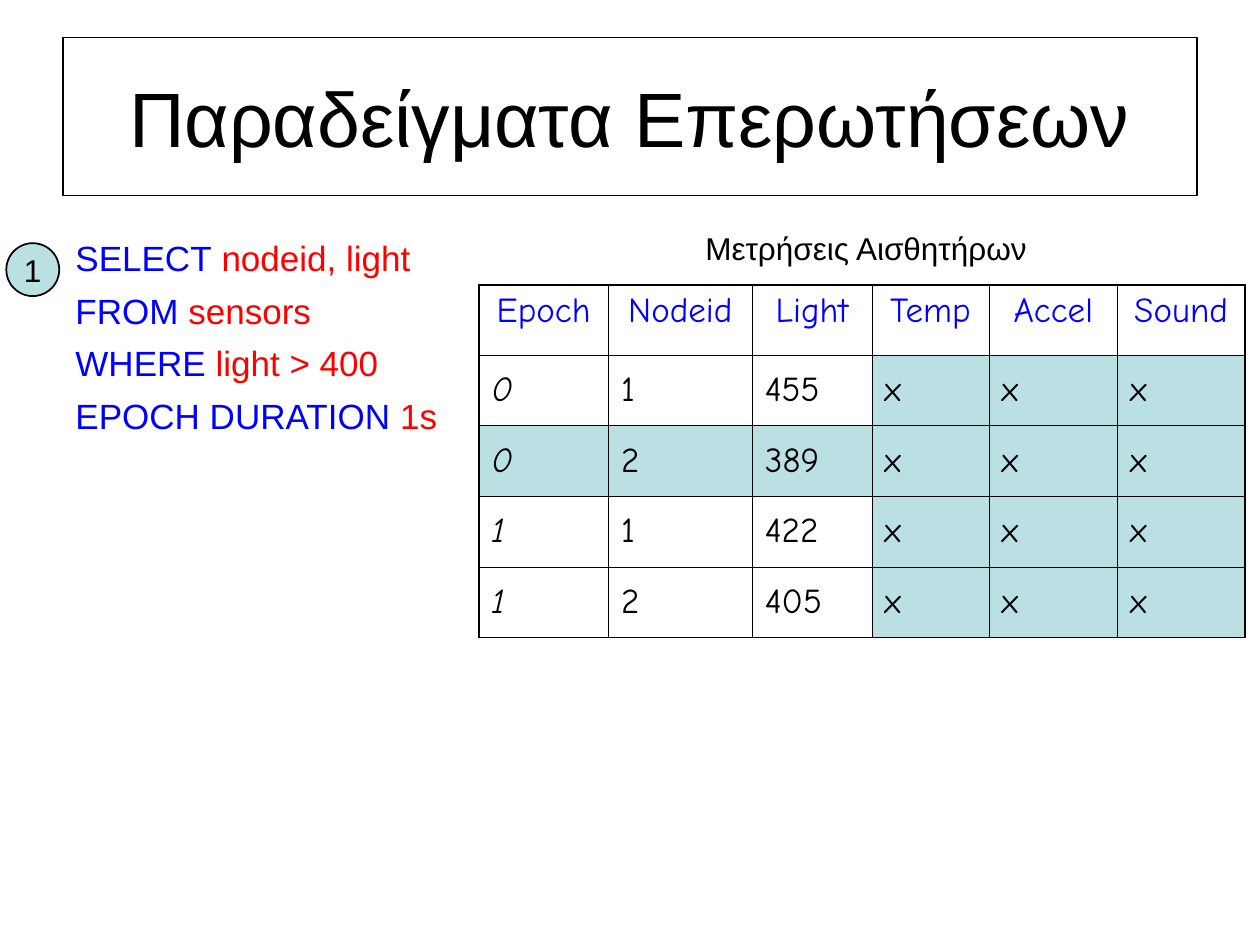
"""Build the sensor query example slide."""
from lxml.etree import SubElement
from pptx import Presentation
from pptx.dml.color import RGBColor
from pptx.enum.shapes import MSO_SHAPE
from pptx.enum.text import MSO_ANCHOR, PP_ALIGN
from pptx.oxml.ns import qn
from pptx.util import Inches, Pt

COLORS = {"black": "000000", "blue": "0000FF", "red": "FF0000", "teal": "BBE0E3"}


def color(name):
    return RGBColor.from_string(COLORS[name])


def format_run(run, size, color_name="black", font_name="Arial"):
    run.font.size = Pt(size)
    run.font.name = font_name
    run.font.color.rgb = color(color_name)


presentation = Presentation()
presentation.slide_width = Inches(10)
presentation.slide_height = Inches(7.5)
slide = presentation.slides.add_slide(presentation.slide_layouts[6])

title = slide.shapes.add_textbox(Inches(0.5), Inches(0.3), Inches(9), Inches(1.25))
title.line.color.rgb = color("black")
title.line.width = Pt(0.75)
title.text_frame.word_wrap = True
title.text_frame.vertical_anchor = MSO_ANCHOR.MIDDLE
title.text_frame.text = "Παραδείγματα Επερωτήσεων"
title.text_frame.paragraphs[0].alignment = PP_ALIGN.CENTER
format_run(title.text_frame.paragraphs[0].runs[0], 44)

query_lines = [
    ("SELECT", " nodeid, light"),
    ("FROM", " sensors"),
    ("WHERE", " light > 400"),
    ("EPOCH DURATION", " 1s"),
]
query = slide.shapes.add_textbox(Inches(0), Inches(1.83), Inches(4.75), Inches(4.5))
query.text_frame.word_wrap = True
for index, query_line in enumerate(query_lines):
    paragraph = query.text_frame.add_paragraph() if index else query.text_frame.paragraphs[0]
    paragraph.space_before = Pt(6)
    properties = paragraph._p.get_or_add_pPr()
    properties.set("marL", str(Inches(0.81)))
    properties.set("indent", str(Inches(-0.31)))
    for text, color_name in zip(query_line, ("blue", "red")):
        run = paragraph.add_run()
        run.text = text
        format_run(run, 20, color_name)

badge = slide.shapes.add_shape(
    MSO_SHAPE.OVAL, Inches(0.05), Inches(1.93), Inches(0.42), Inches(0.42)
)
badge.shadow.inherit = False
badge.fill.solid()
badge.fill.fore_color.rgb = color("teal")
badge.line.color.rgb = color("black")
badge.line.width = Pt(1)
badge.text_frame.word_wrap = False
badge.text_frame.vertical_anchor = MSO_ANCHOR.MIDDLE
badge.text_frame.text = "1"
badge.text_frame.paragraphs[0].alignment = PP_ALIGN.CENTER
format_run(badge.text_frame.paragraphs[0].runs[0], 18)

readings = [
    ("Epoch", "Nodeid", "Light", "Temp", "Accel", "Sound"),
    ("0", "1", "455", "x", "x", "x"),
    ("0", "2", "389", "x", "x", "x"),
    ("1", "1", "422", "x", "x", "x"),
    ("1", "2", "405", "x", "x", "x"),
]
column_widths = [1.03, 1.14, 0.95, 0.93, 1.02, 1.01]
last_row = len(readings) - 1
last_column = len(column_widths) - 1
rejected_row = 2
first_unused_column = 3
table = slide.shapes.add_table(
    len(readings), len(column_widths), Inches(3.8), Inches(2.26), Inches(6.08), Inches(2.79)
).table
table.first_row = False
table.horz_banding = False
for column, width in zip(table.columns, column_widths):
    column.width = Inches(width)

for row_index, values in enumerate(readings):
    is_header = row_index == 0
    table.rows[row_index].height = Inches(0.56)
    for column_index, value in enumerate(values):
        cell = table.cell(row_index, column_index)
        cell.vertical_anchor = MSO_ANCHOR.TOP if is_header else MSO_ANCHOR.MIDDLE
        cell.text_frame.text = value
        paragraph = cell.text_frame.paragraphs[0]
        paragraph.space_before = Pt(5)
        paragraph.alignment = PP_ALIGN.CENTER if is_header else PP_ALIGN.LEFT
        run = paragraph.runs[0]
        format_run(run, 20, "blue" if is_header else "black", "Comic Neue")
        run.font.italic = column_index == 0 and not is_header

        outer_edges = {
            "a:lnL": column_index == 0,
            "a:lnR": column_index == last_column,
            "a:lnT": is_header,
            "a:lnB": row_index == last_row,
        }
        cell_properties = cell._tc.get_or_add_tcPr()
        for edge, is_outer in outer_edges.items():
            border = SubElement(cell_properties, qn(edge), w=str(Pt(1.08 if is_outer else 0.45)))
            border_fill = SubElement(border, qn("a:solidFill"))
            SubElement(border_fill, qn("a:srgbClr"), val=COLORS["black"])

        is_unused = column_index >= first_unused_column and not is_header
        if is_unused or row_index == rejected_row:
            cell.fill.solid()
            cell.fill.fore_color.rgb = color("teal")
        else:
            cell.fill.background()

caption = slide.shapes.add_textbox(Inches(5.5), Inches(1.77), Inches(2.86), Inches(0.4))
caption.text_frame.word_wrap = True
caption.text_frame.text = "Μετρήσεις Αισθητήρων"
caption.text_frame.paragraphs[0].space_before = Pt(11.2)
format_run(caption.text_frame.paragraphs[0].runs[0], 18)

presentation.save("out.pptx")
